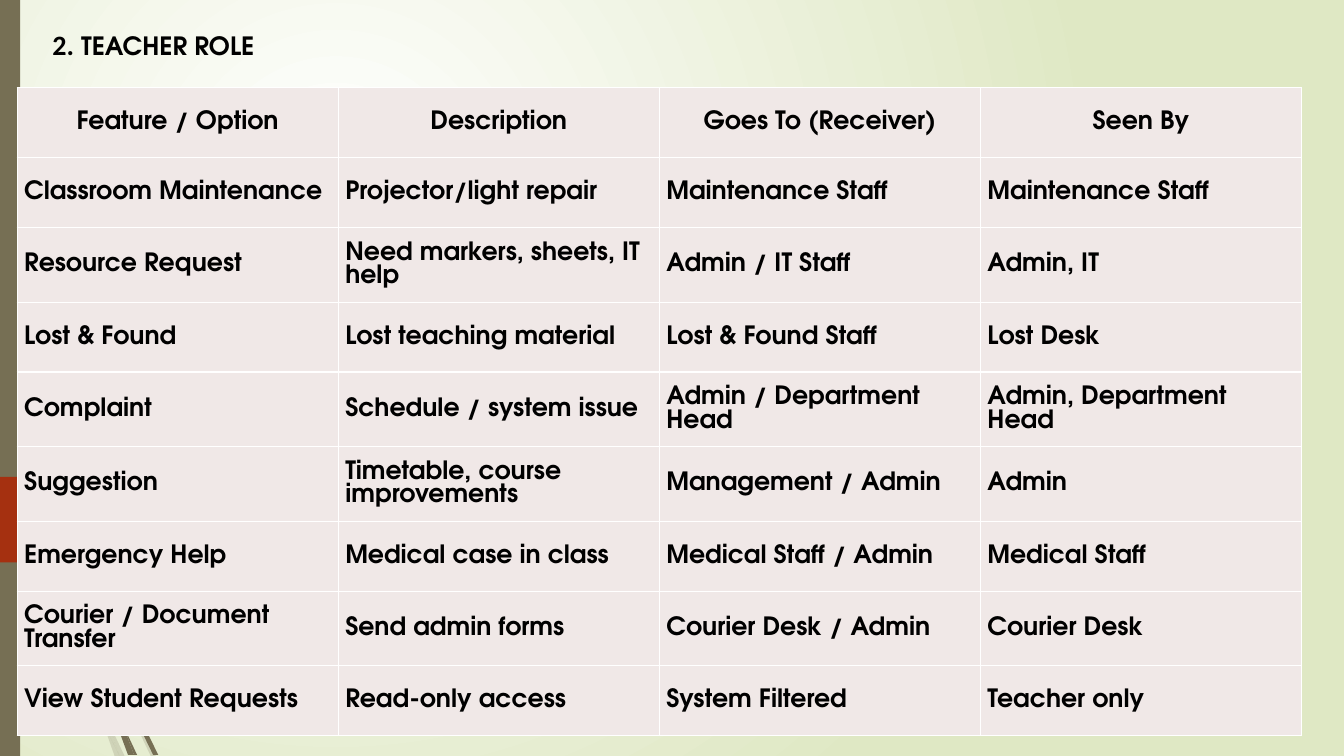
from lxml.etree import SubElement
from pptx import Presentation
from pptx.dml.color import RGBColor
from pptx.enum.shapes import MSO_SHAPE
from pptx.enum.text import MSO_ANCHOR, PP_ALIGN
from pptx.oxml.ns import qn
from pptx.util import Inches, Pt

WIDTH, HEIGHT = 13.33, 7.5
FONT = "TeX Gyre Adventor"
OLIVE, RUST, PALE = "766F54", "A53010", "F0E8E7"
TABLE_WIDTH, TABLE_HEIGHT = 12.74, 6.43
TALL_ROWS, TALL_HEIGHT = (2, 4, 5, 7), 0.74
ROLES = [
    ("Feature / Option", "Description", "Goes To (Receiver)", "Seen By"),
    ("Classroom Maintenance", "Projector/light repair", "Maintenance Staff", "Maintenance Staff"),
    ("Resource Request", "Need markers, sheets, IT help", "Admin / IT Staff", "Admin, IT"),
    ("Lost & Found", "Lost teaching material", "Lost & Found Staff", "Lost Desk"),
    ("Complaint", "Schedule / system issue", "Admin / Department Head", "Admin, Department Head"),
    ("Suggestion", "Timetable, course improvements", "Management / Admin", "Admin"),
    ("Emergency Help", "Medical case in class", "Medical Staff / Admin", "Medical Staff"),
    ("Courier / Document Transfer", "Send admin forms", "Courier Desk / Admin", "Courier Desk"),
    ("View Student Requests", "Read-only access", "System Filtered", "Teacher only"),
]
# Outline points of the plant stalks, in hundredths of an inch.
PALE_STALKS = [
    [(11, 350), (9, 322), (0, 282), (0, 299), (10, 344)],
    [(58, 522), (84, 599), (85, 586), (62, 520), (14, 345), (17, 376)],
    [(92, 607), (88, 596), (88, 610), (123, 694), (150, 751), (155, 751), (127, 692)],
    [(119, 751), (124, 751), (105, 711)],
    [(93, 683), (70, 619), (31, 469), (17, 376), (11, 350), (28, 470), (65, 621), (92, 693),
     (101, 714), (99, 707)],
    [(84, 599), (87, 646), (93, 683), (96, 692), (105, 711), (103, 706), (91, 646), (88, 610),
     (88, 608)],
    [(88, 584), (110, 462), (160, 349), (229, 245), (268, 198), (312, 154), (312, 153),
     (268, 197), (228, 244), (158, 348), (107, 461), (85, 584), (85, 586), (88, 596)],
    [(101, 714), (114, 751), (119, 751)],
    [(88, 608), (88, 610), (88, 596), (85, 586), (84, 599)],
    [(96, 692), (93, 683), (99, 707), (101, 714), (119, 751), (105, 711)],
]
DARK_STALKS = [
    [(7, 110), (17, 233), (33, 355), (56, 477), (57, 481), (55, 453), (36, 355), (19, 232),
     (8, 109), (5, 48), (4, 0), (3, 0), (4, 48)],
    [(88, 592), (106, 645), (106, 631), (93, 590), (60, 472), (64, 505)],
    [(113, 649), (110, 641), (111, 656), (132, 708), (152, 749), (157, 749), (136, 706)],
    [(110, 691), (98, 657), (72, 556), (64, 505), (57, 477), (68, 557), (93, 659), (111, 708),
     (117, 722), (116, 717)],
    [(60, 472), (58, 453), (54, 349), (58, 245), (63, 193), (70, 141), (62, 193), (56, 245),
     (52, 349), (55, 449)],
    [(133, 749), (136, 749), (122, 719)],
    [(57, 477), (64, 505), (60, 472), (55, 449), (55, 453)],
    [(111, 633), (125, 552), (158, 476), (205, 406), (231, 374), (261, 344), (260, 344),
     (231, 373), (204, 405), (156, 474), (122, 551), (106, 631), (110, 641)],
    [(117, 722), (127, 749), (131, 749)],
    [(106, 645), (110, 691), (116, 706), (122, 719), (121, 716), (111, 656), (109, 651)],
    [(106, 645), (109, 651), (111, 656), (110, 641), (106, 631)],
    [(116, 706), (110, 691), (116, 717), (117, 722), (130, 749), (133, 749), (122, 719)],
]


def color(hex_string):
    return RGBColor.from_string(hex_string)


def paint(shape, fill, alpha=100):
    shape.shadow.inherit = False
    shape.fill.solid()
    shape.fill.fore_color.rgb = color(fill)
    shape.line.fill.background()
    if alpha < 100:
        tint = shape.fill._xPr.find(".//" + qn("a:srgbClr"))
        SubElement(tint, qn("a:alpha"), val=str(alpha * 1000))


def style_run(run, size=18, font=FONT):
    run.font.size = Pt(size)
    run.font.name = font
    run.font.bold = True
    run.font.color.rgb = color("000000")


def set_background(slide):
    """White glow fading outwards to pale green."""
    fill = slide.background.fill
    fill.gradient()
    for stop, tone in zip(fill.gradient_stops, ("FFFFFF", "DFE8C4")):
        stop.color.rgb = color(tone)
    gradient = slide.background._cSld.find(".//" + qn("a:gradFill"))
    gradient.remove(gradient.find(qn("a:lin")))
    circle = SubElement(gradient, qn("a:path"), path="circle")
    SubElement(circle, qn("a:fillToRect"), l="50000", t="50000", r="100000", b="100000")


def add_stalk(slide, outline, alpha):
    builder = slide.shapes.build_freeform(*outline[0], scale=Inches(0.01))
    builder.add_line_segments(outline[1:], close=True)
    paint(builder.convert_to_shape(), OLIVE, alpha)


def add_block(slide, preset, left, top, width, height, fill):
    block = slide.shapes.add_shape(preset, *map(Inches, (left, top, width, height)))
    paint(block, fill)


def set_title(slide):
    title = slide.shapes.title
    title.left, title.top, title.width, title.height = map(Inches, (0.42, 0.2, 12.5, 0.48))
    frame = title.text_frame
    frame.vertical_anchor = MSO_ANCHOR.MIDDLE
    heading = frame.paragraphs[0]
    heading.alignment = PP_ALIGN.LEFT
    number, words = heading.add_run(), heading.add_run()
    number.text, words.text = "2.", " TEACHER ROLE"
    style_run(number, 20, "Calibri")
    style_run(words)


def add_borders(cell):
    properties = cell._tc.get_or_add_tcPr()
    for position, side in enumerate(("lnL", "lnR", "lnT", "lnB")):
        border = SubElement(properties, qn("a:" + side), w=str(Pt(1)))
        SubElement(SubElement(border, qn("a:solidFill")), qn("a:srgbClr"), val="FFFFFF")
        properties.insert(position, border)


def fill_cell(cell, wording, alignment):
    cell.text_frame.text = wording
    cell.vertical_anchor = MSO_ANCHOR.MIDDLE
    cell.margin_left = cell.margin_right = cell.margin_top = cell.margin_bottom = Inches(0.07)
    cell.fill.solid()
    cell.fill.fore_color.rgb = color(PALE)
    paragraph = cell.text_frame.paragraphs[0]
    paragraph.alignment = alignment
    style_run(paragraph.runs[0])
    add_borders(cell)


def add_role_table(slide):
    rows, columns = len(ROLES), len(ROLES[0])
    table = slide.shapes.add_table(rows, columns, Inches(0.17), Inches(0.87),
                                   Inches(TABLE_WIDTH), Inches(TABLE_HEIGHT)).table
    tall_count = len(TALL_ROWS)
    low_height = (TABLE_HEIGHT - tall_count * TALL_HEIGHT) / (rows - tall_count)
    for r, entries in enumerate(ROLES):
        table.rows[r].height = Inches(TALL_HEIGHT if r in TALL_ROWS else low_height)
        alignment = PP_ALIGN.LEFT if r else PP_ALIGN.CENTER
        for c, wording in enumerate(entries):
            fill_cell(table.cell(r, c), wording, alignment)


def main():
    deck = Presentation()
    deck.slide_width, deck.slide_height = Inches(WIDTH), Inches(HEIGHT)
    slide = deck.slides.add_slide(deck.slide_layouts[5])
    set_background(slide)
    for stalks, alpha in ((PALE_STALKS, 20), (DARK_STALKS, 100)):
        for outline in stalks:
            add_stalk(slide, outline, alpha)
    add_block(slide, MSO_SHAPE.RECTANGLE, 0, 0, 0.2, HEIGHT, OLIVE)
    add_block(slide, MSO_SHAPE.PENTAGON, 0, 4.73, 1.91, 0.85, RUST)
    set_title(slide)
    add_role_table(slide)
    deck.save("out.pptx")


if __name__ == "__main__":
    main()
